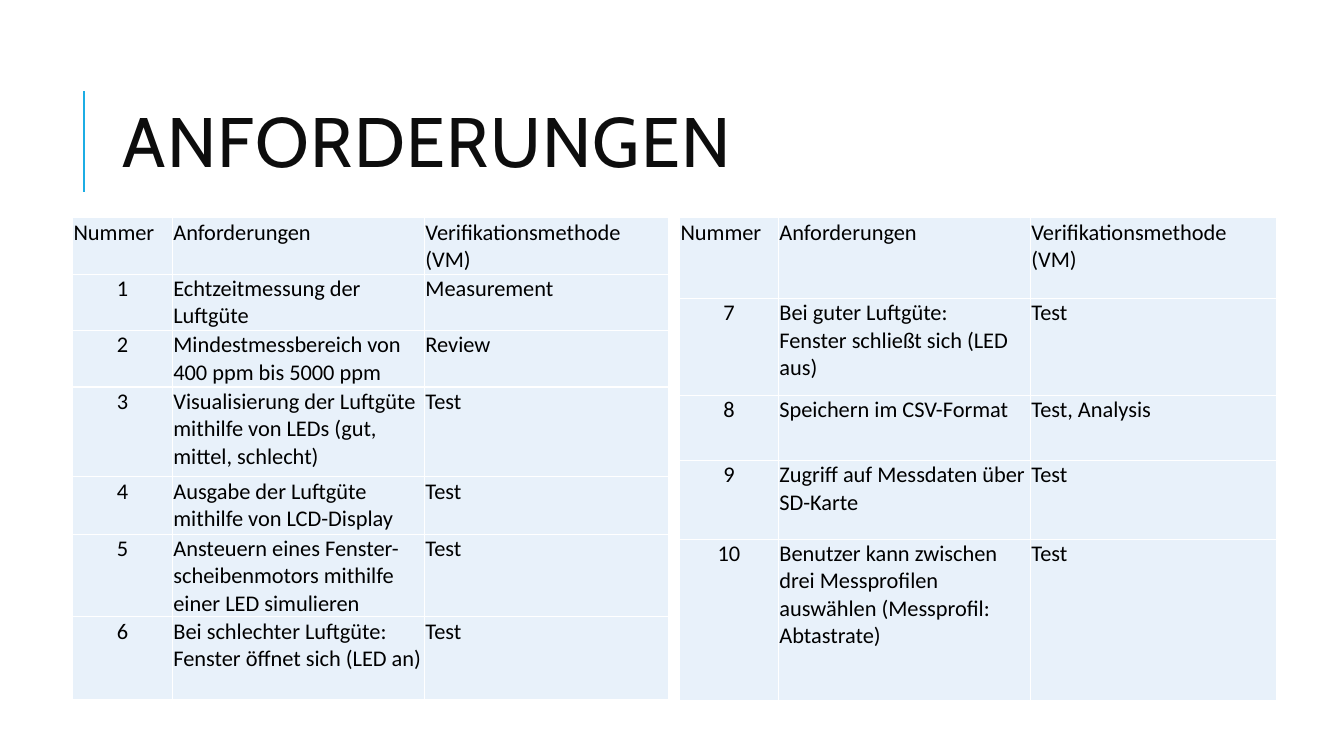
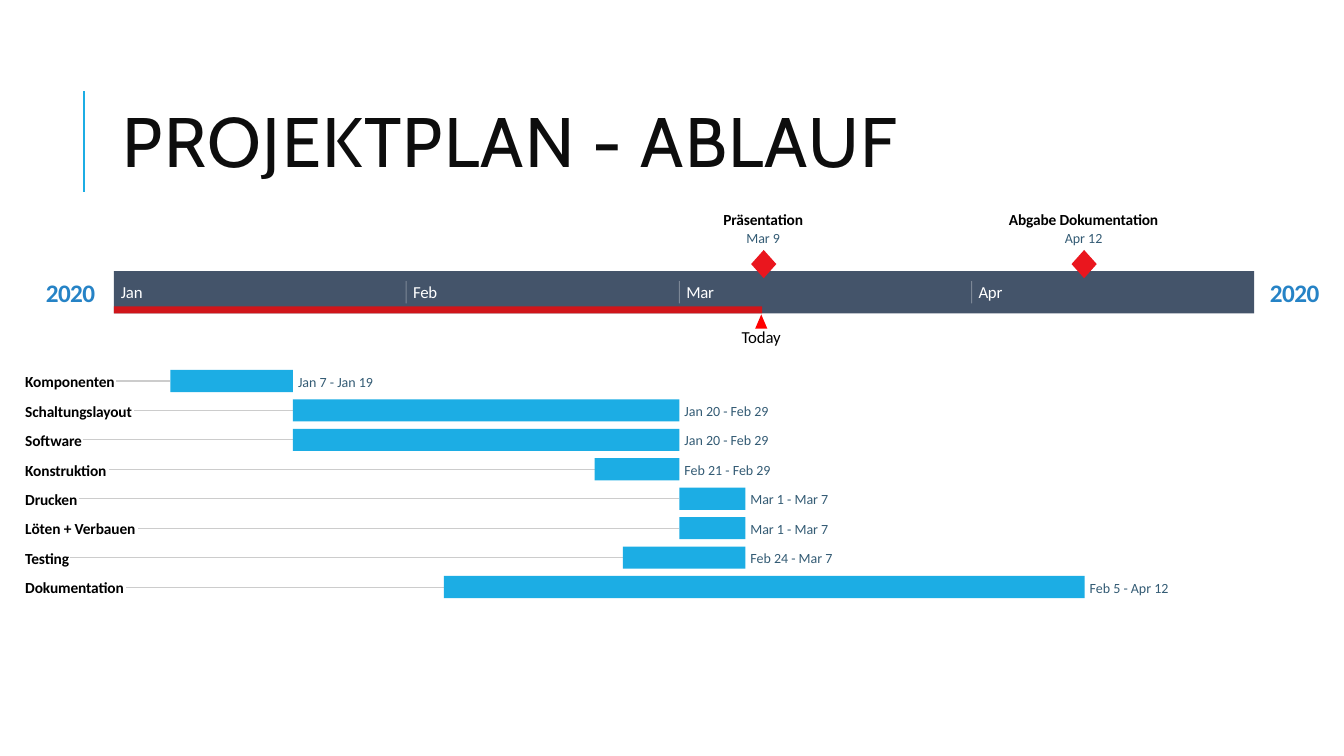
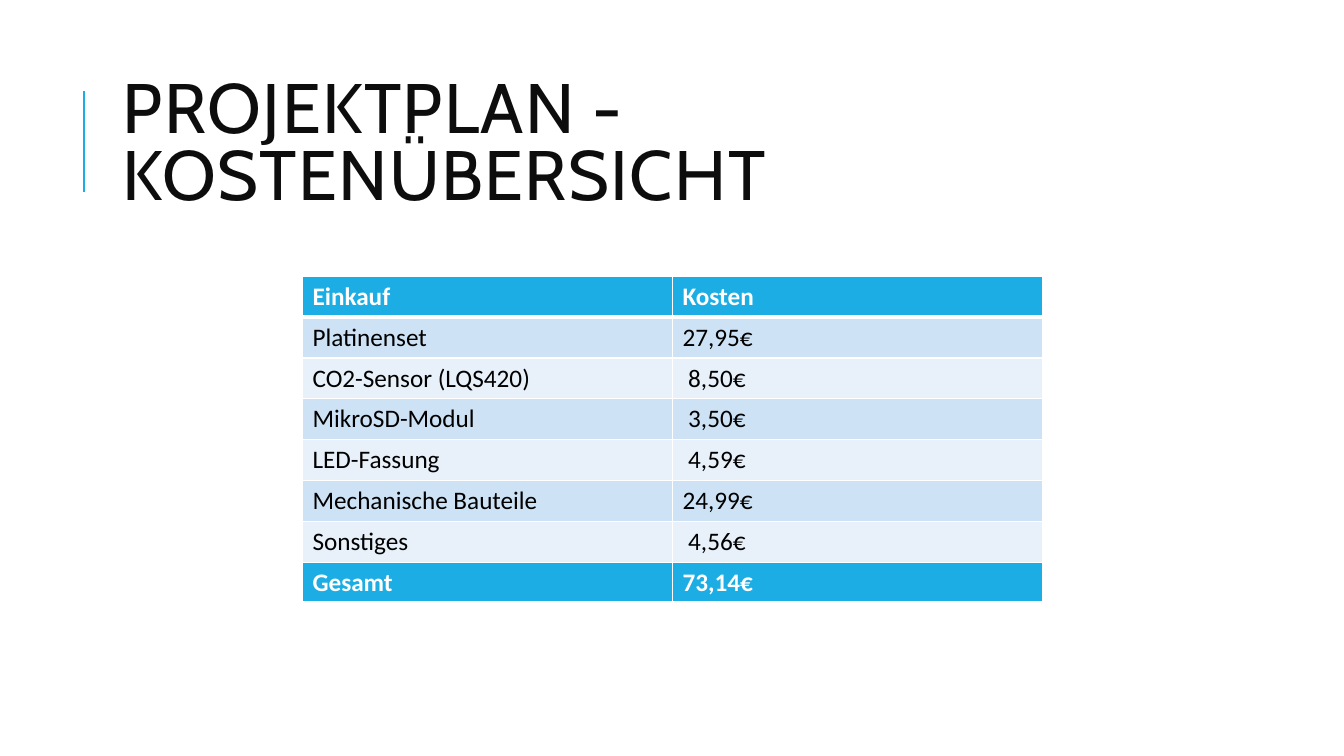
from itertools import accumulate

from lxml import etree
from pptx import Presentation
from pptx.dml.color import RGBColor
from pptx.enum.shapes import MSO_CONNECTOR, MSO_SHAPE
from pptx.enum.text import MSO_ANCHOR, PP_ALIGN
from pptx.oxml.ns import qn
from pptx.util import Inches, Pt

STRAIGHT = MSO_CONNECTOR.STRAIGHT
RECTANGLE, TRIANGLE, DIAMOND = MSO_SHAPE.RECTANGLE, MSO_SHAPE.ISOSCELES_TRIANGLE, MSO_SHAPE.DIAMOND
LEFT, CENTER = PP_ALIGN.LEFT, PP_ALIGN.CENTER
MIDDLE = MSO_ANCHOR.MIDDLE

THEME = {
    "accent": "1CADE4",
    "pale": "E8F1FA",
    "light": "CDE3F5",
    "white": "FFFFFF",
    "leader": "CCCCCC",
    "band": "44546A",
    "elapsed": "FF0000",
    "milestone": "EA161E",
    "title": {"color": "0D0D0D", "spc": 100, "font": {"name": "Cabin", "size": Pt(50)}},
    "requirement": {"color": "000000", "spc": 0, "font": {"name": "Calibri", "size": Pt(16)}},
    "cost": {"color": "000000", "spc": 0, "font": {"name": "Calibri", "size": Pt(18)}},
    "cost_head": {"color": "FFFFFF", "spc": 0, "font": {"name": "Calibri", "size": Pt(18), "bold": True}},
    "year": {"color": "2683C6", "spc": -40, "font": {"name": "Calibri", "size": Pt(18), "bold": True}},
    "month": {"color": "FFFFFF", "spc": -20, "font": {"name": "Calibri", "size": Pt(12)}},
    "today": {"color": "000000", "spc": -10, "font": {"name": "Calibri", "size": Pt(12)}},
    "task": {"color": "000000", "spc": -10, "font": {"name": "Calibri", "size": Pt(11), "bold": True}},
    "date": {"color": "335B74", "spc": 0, "font": {"name": "Calibri", "size": Pt(10)}},
}


def write_text(frame, text, style, align=LEFT):
    paragraph = frame.paragraphs[0]
    paragraph.text = text
    paragraph.alignment = align
    for run in paragraph.runs:
        for attribute, value in THEME[style]["font"].items():
            setattr(run.font, attribute, value)
        run.font.color.rgb = RGBColor.from_string(THEME[style]["color"])
        run.font._element.set("spc", str(THEME[style]["spc"]))
    return paragraph


def draw_line(slide, x1, y1, x2, y2, color, width):
    line = slide.shapes.add_connector(STRAIGHT, Inches(x1), Inches(y1), Inches(x2), Inches(y2))
    line.line.color.rgb = RGBColor.from_string(THEME[color])
    line.line.width = Pt(width)
    properties = line._element.spPr
    etree.SubElement(properties, qn("a:effectLst"))
    return properties


deck = Presentation()
deck.slide_width, deck.slide_height = Inches(13.33), Inches(7.5)

slides = []
for title in ("ANFORDERUNGEN", "PROJEKTPLAN - ABLAUF", "PROJEKTPLAN - KOSTENÜBERSICHT"):
    slide = deck.slides.add_slide(deck.slide_layouts[6])
    draw_line(slide, 0.83, 1.9, 0.83, 0.9, "accent", 1.5)
    frame = slide.shapes.add_textbox(Inches(1.12), Inches(0.64), Inches(10.63), Inches(1.64)).text_frame
    frame.word_wrap = True
    frame.vertical_anchor = MIDDLE
    write_text(frame, title, "title").line_spacing = 0.8
    slides.append(slide)
requirements_slide, plan_slide, cost_slide = slides

requirement_head = ("Nummer", "Anforderungen", "Verifikationsmethode (VM)")
first_requirements = [
    requirement_head,
    ("1", "Echtzeitmessung der\nLuftgüte", "Measurement"),
    ("2", "Mindestmessbereich von 400 ppm bis 5000 ppm", "Review"),
    ("3", "Visualisierung der Luftgüte\nmithilfe von LEDs (gut, mittel, schlecht)", "Test"),
    ("4", "Ausgabe der Luftgüte mithilfe von LCD-Display", "Test"),
    ("5", "Ansteuern eines Fenster-\nscheibenmotors mithilfe einer LED simulieren", "Test"),
    ("6", "Bei schlechter Luftgüte:\nFenster öffnet sich (LED an)", "Test"),
]
second_requirements = [
    requirement_head,
    ("7", "Bei guter Luftgüte:\nFenster schließt sich (LED aus)", "Test"),
    ("8", "Speichern im CSV-Format", "Test, Analysis"),
    ("9", "Zugriff auf Messdaten über SD-Karte", "Test"),
    ("10", "Benutzer kann zwischen drei Messprofilen auswählen (Messprofil: Abtastrate)", "Test"),
]
costs = [
    ("Einkauf", "Kosten"),
    ("Platinenset", "27,95€"),
    ("CO2-Sensor (LQS420)", " 8,50€"),
    ("MikroSD-Modul", " 3,50€"),
    ("LED-Fassung", " 4,59€"),
    ("Mechanische Bauteile", "24,99€"),
    ("Sonstiges", " 4,56€"),
]
total = [("Gesamt", "73,14€")]

requirement_look = {"head": "requirement", "body": "requirement", "fills": ["pale"] * 7,
                    "margins": (0.01, 0.01, 0.01, 0), "head_rule": 1}
cost_look = {"head": "cost_head", "body": "cost", "fills": ["accent"] + ["light", "pale"] * 3,
             "margins": (0.1, 0.05, 0.1, 0.05), "head_rule": 3}
cost_row = 2.84 / 7
tables = [
    (requirements_slide, 0.72, 2.16, (0.99, 2.5, 2.42),
     (0.56, 0.56, 0.56, 0.89, 0.57, 0.82, 0.82), first_requirements, requirement_look),
    (requirements_slide, 6.74, 2.16, (0.98, 2.5, 2.44),
     (0.8, 0.96, 0.65, 0.78, 1.6), second_requirements, requirement_look),
    (cost_slide, 3, 2.74, (3.67, 3.67), [cost_row] * 7, costs, cost_look),
    (cost_slide, 3, 5.58, (3.67, 3.67), [cost_row], total, cost_look),
]
for slide, left, top, widths, heights, rows, look in tables:
    table = slide.shapes.add_table(len(rows), len(widths), Inches(left), Inches(top),
                                   Inches(sum(widths)), Inches(sum(heights))).table
    table.first_row = table.horz_banding = False
    for column, width in zip(table.columns, widths):
        column.width = Inches(width)
    for r, (row, height, values) in enumerate(zip(table.rows, heights, rows)):
        row.height = Inches(height)
        for cell, value in zip(row.cells, values):
            for side, margin in zip(("left", "top", "right", "bottom"), look["margins"]):
                setattr(cell, f"margin_{side}", Inches(margin))
            write_text(cell.text_frame, value, look["body"] if r else look["head"],
                       CENTER if value.isdigit() else LEFT)
            rules = {"L": 1, "R": 1, "T": look["head_rule"] if r == 1 else 1,
                     "B": 1 if r else look["head_rule"]}
            for edge, points in rules.items():
                border = etree.SubElement(cell._tc.get_or_add_tcPr(), qn(f"a:ln{edge}"), w=str(Pt(points)))
                paint = etree.SubElement(border, qn("a:solidFill"))
                etree.SubElement(paint, qn("a:srgbClr"), val=THEME["white"])
            cell.fill.solid()
            cell.fill.fore_color.rgb = RGBColor.from_string(THEME[look["fills"][r]])

month_days = {"Jan": 31, "Feb": 29, "Mar": 31, "Apr": 30}
month_start = dict(zip(month_days, accumulate(month_days.values(), initial=0)))
band_left, band_top, band_width, band_height = 1.13, 2.69, 11.31, 0.42
day_width = band_width / sum(month_days.values())
day_end = {f"{month} {day}": band_left + (month_start[month] + day) * day_width
           for month, days in month_days.items() for day in range(1, days + 1)}
today = 7.56

tasks = [
    ("Komponenten", 0.9, "Jan 7", "Jan 19"),
    ("Schaltungslayout", 1.08, "Jan 20", "Feb 29"),
    ("Software", 0.57, "Jan 20", "Feb 29"),
    ("Konstruktion", 0.83, "Feb 21", "Feb 29"),
    ("Drucken", 0.53, "Mar 1", "Mar 7"),
    ("Löten + Verbauen", 1.12, "Mar 1", "Mar 7"),
    ("Testing", 0.44, "Feb 24", "Mar 7"),
    ("Dokumentation", 1, "Feb 5", "Apr 12"),
]
milestones = [("Präsentation", "Mar 9"), ("Abgabe Dokumentation", "Apr 12")]

marks = [
    (RECTANGLE, band_left, band_top, band_width, band_height, "band"),
    (RECTANGLE, band_left, 3.04, today - band_left, 0.07, "elapsed"),
    (TRIANGLE, today - 0.07, 3.12, 0.12, 0.14, "elapsed"),
]
labels = [
    (0.4, 2.75, 0.6, 0.31, "2020", "year", CENTER),
    (12.54, 2.75, 0.6, 0.31, "2020", "year", CENTER),
    (today - 0.31, 3.24, 0.6, 0.2, "Today", "today", CENTER),
]
for month, start in month_start.items() if len(month_start) == 0 else zip(month_days, month_start.values()):
    labels.append((band_left + start * day_width + 0.07, 2.8, 0.4, 0.2, month, "month", LEFT))
for i, (task, name_width, start, end) in enumerate(tasks):
    center = 3.78 + i * 0.292
    bar_left, bar_right = day_end[start] - day_width, day_end[end]
    draw_line(plan_slide, 0.25 + name_width, center, bar_left, center, "leader", 0.75)
    marks.append((RECTANGLE, bar_left, center - 0.11, bar_right - bar_left, 0.22, "accent"))
    labels.append((0.25, center - 0.09, name_width + 0.05, 0.19, task, "task", LEFT))
    labels.append((bar_right + 0.05, center - 0.08, 0.95, 0.17, f"{start} - {end}", "date", LEFT))
for milestone, date in milestones:
    center = day_end[date] - 0.01
    marks.append((DIAMOND, center - 0.12, 2.48, 0.25, 0.28, "milestone"))
    labels.append((center - 0.8, 2.08, 1.6, 0.19, milestone, "task", CENTER))
    labels.append((center - 0.3, 2.28, 0.6, 0.17, date, "date", CENTER))

for kind, left, top, width, height, color in marks:
    mark = plan_slide.shapes.add_shape(kind, Inches(left), Inches(top), Inches(width), Inches(height))
    mark.shadow.inherit = False
    mark.fill.solid()
    mark.fill.fore_color.rgb = RGBColor.from_string(THEME[color])
    mark.line.fill.background()
    if kind == RECTANGLE and color == "elapsed":
        etree.SubElement(mark._element.spPr.find(".//" + qn("a:srgbClr")), qn("a:alpha"), val="75000")

for start in list(month_start.values())[1:]:
    x = band_left + start * day_width
    tick = draw_line(plan_slide, x, 2.79, x, 3.01, "white", 0.75)
    etree.SubElement(tick.find(".//" + qn("a:srgbClr")), qn("a:alpha"), val="30000")

for left, top, width, height, text, style, align in labels:
    frame = plan_slide.shapes.add_textbox(Inches(left), Inches(top), Inches(width), Inches(height)).text_frame
    frame.word_wrap = True
    frame.vertical_anchor = MIDDLE
    for side in ("left", "top", "right", "bottom"):
        setattr(frame, f"margin_{side}", 0)
    write_text(frame, text, style, align)

deck.save("out.pptx")
